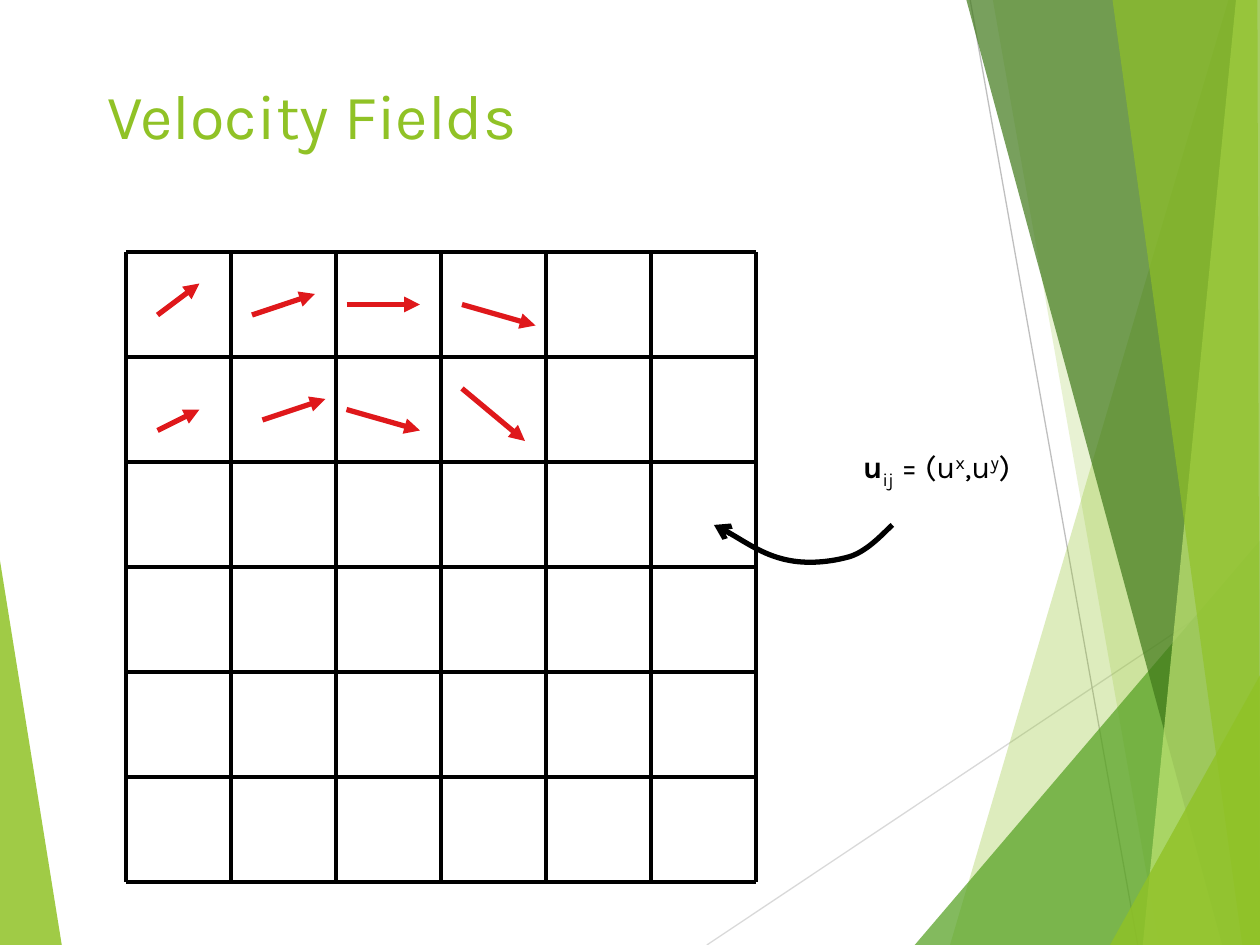
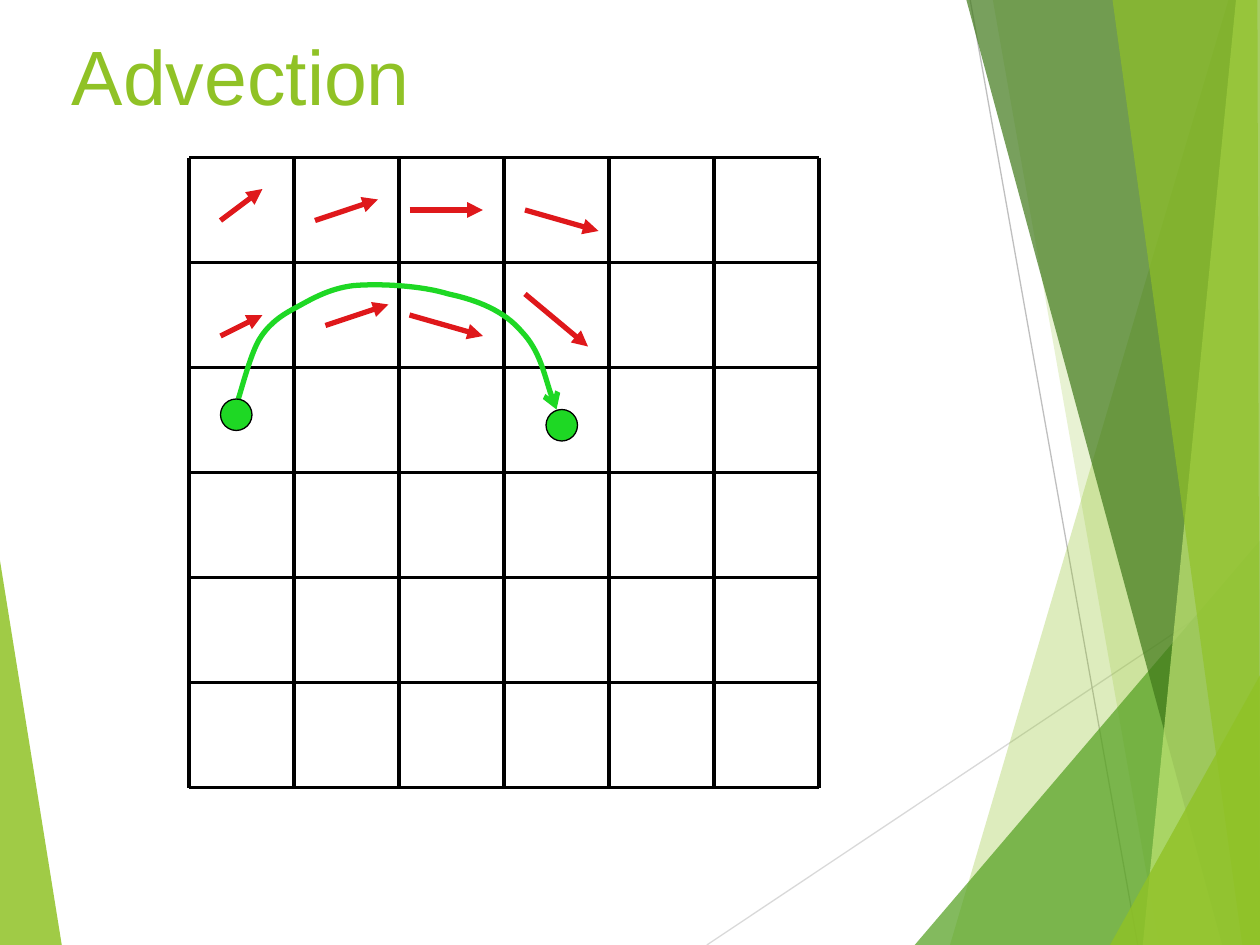
from dataclasses import dataclass

from pptx import Presentation
from pptx.dml.color import RGBColor
from pptx.enum.shapes import MSO_CONNECTOR, MSO_SHAPE
from pptx.enum.text import MSO_ANCHOR, MSO_AUTO_SIZE, PP_ALIGN
from pptx.oxml.ns import qn
from pptx.oxml.xmlchemy import OxmlElement
from pptx.util import Inches, Pt

STRAIGHT = MSO_CONNECTOR.STRAIGHT
OVAL = MSO_SHAPE.OVAL
TOP = MSO_ANCHOR.TOP
LEFT = PP_ALIGN.LEFT
NO_FIT = MSO_AUTO_SIZE.NONE
TITLE_ONLY = 5
WIDTH, HEIGHT = 10, 7.5


@dataclass(frozen=True)
class Theme:
    lime: str = "90C226"
    leaf: str = "54A021"
    forest: str = "3F7819"
    pale: str = "C0E474"
    light_rule: str = "D9D9D9"
    dark_rule: str = "BFBFBF"
    ink: str = "000000"
    velocity: str = "DF181B"
    particle: str = "1ED824"
    font: str = "Karla"
    plain_font: str = "Arial"
    title_size: int = 36
    large_title_size: int = 44
    label_size: int = 18
    hairline: float = 0.75
    grid_line: float = 2.25
    arrow_line: float = 3


THEME = Theme()

# Backdrop polygons: corners in inches, colour, opacity in percent
SHARDS = [
    ([(0, 4.45), (0.49, 7.5), (0, 7.5)], THEME.lime, 85),
    ([(9.75, 0), (7.54, 7.5), (10, 7.5), (10, 0)], THEME.lime, 30),
    ([(7.88, 0), (9.2, 7.5), (10, 7.5), (10, 0)], THEME.lime, 20),
    ([(7.26, 7.5), (10, 4.29), (10, 7.5)], THEME.leaf, 72),
    ([(7.67, 0), (9.7, 7.5), (10, 7.5), (10, 0)], THEME.forest, 70),
    ([(9.81, 0), (9.07, 7.5), (10, 7.5), (10, 0)], THEME.pale, 70),
    ([(8.83, 0), (9.86, 7.5), (10, 7.5), (9.98, 0)], THEME.lime, 65),
    ([(8.81, 7.5), (10, 5.36), (10, 7.5)], THEME.lime, 80),
]
RULES = [
    ((5.61, 7.5), (10, 4.57), THEME.light_rule),
    ((7.7, 0), (9.03, 7.5), THEME.dark_rule),
]

# Everything below is in columns and rows of the grid
CELLS = 6
VELOCITIES = [
    ((0.3, 0.6), (0.7, 0.3)), ((1.2, 0.6), (1.8, 0.4)),
    ((2.1, 0.5), (2.8, 0.5)), ((3.2, 0.5), (3.9, 0.7)),
    ((0.3, 1.7), (0.7, 1.5)), ((1.3, 1.6), (1.9, 1.4)),
    ((2.1, 1.5), (2.8, 1.7)), ((3.2, 1.3), (3.8, 1.8)),
]
LABEL_POINTER = [
    (7.3, 2.6), (7.24, 2.65), (7.08, 2.84), (6.9, 2.9),
    (6.73, 2.95), (6.49, 2.98), (6.28, 2.93),
    (6.06, 2.88), (5.74, 2.66), (5.6, 2.6),
]
PARTICLE_TRACK = [
    (0.47, 2.3), (0.5, 2.21), (0.58, 1.9), (0.66, 1.75),
    (0.74, 1.61), (0.85, 1.52), (1, 1.44),
    (1.15, 1.36), (1.32, 1.25), (1.57, 1.22),
    (1.82, 1.2), (2.21, 1.22), (2.47, 1.3),
    (2.75, 1.36), (3, 1.46), (3.17, 1.66),
    (3.34, 1.84), (3.43, 2.24), (3.5, 2.4),
]
PARTICLES = [(0.3, 2.3), (3.4, 2.4)]
PARTICLE_SIZE = 0.3


@dataclass(frozen=True)
class Grid:
    left: float
    top: float
    cell: float = 5 / CELLS

    def place(self, point):
        column, row = point
        return self.left + column * self.cell, self.top + row * self.cell


def color(code):
    return RGBColor.from_string(code)


def style_line(shape, code, width, head=None):
    shape.line.color.rgb = color(code)
    shape.line.width = Pt(width)
    if head:
        tail = OxmlElement("a:tailEnd")
        tail.set("type", head)
        shape.element.spPr.find(qn("a:ln")).append(tail)


def add_line(page, start, end, code, width, head=None):
    ends = [Inches(value) for value in (*start, *end)]
    line = page.shapes.add_connector(STRAIGHT, *ends)
    style_line(line, code, width, head)
    line.element.spPr.append(OxmlElement("a:effectLst"))
    return line


def add_outline(page, points, close):
    corners = [(Inches(x), Inches(y)) for x, y in points]
    builder = page.shapes.build_freeform(*corners[0])
    builder.add_line_segments(corners[1:], close=close)
    shape = builder.convert_to_shape()
    shape.shadow.inherit = False
    return shape


def add_shard(page, points, code, opacity):
    shard = add_outline(page, points, close=True)
    shard.fill.solid()
    shard.fill.fore_color.rgb = color(code)
    shard.line.fill.background()
    alpha = OxmlElement("a:alpha")
    alpha.set("val", str(opacity * 1000))
    shard.element.spPr.find(qn("a:solidFill"))[0].append(alpha)
    return shard


def add_curve(page, points, code):
    """Draw cubic curves; after the start, every three points make one."""
    curve = add_outline(page, points, close=False)
    curve.fill.background()
    style_line(curve, code, THEME.arrow_line, "arrow")
    steps = list(curve.element.iter(qn("a:lnTo")))
    for first in range(0, len(steps), 3):
        cubic = OxmlElement("a:cubicBezTo")
        steps[first].addprevious(cubic)
        for step in steps[first:first + 3]:
            cubic.append(step[0])
            step.getparent().remove(step)


def add_dot(page, corner, size):
    dot = page.shapes.add_shape(OVAL, *map(Inches, (*corner, size, size)))
    dot.shadow.inherit = False
    dot.fill.solid()
    dot.fill.fore_color.rgb = color(THEME.particle)
    style_line(dot, THEME.ink, THEME.hairline)


def write(para, text, *, size, code, font=THEME.font, bold=False, baseline=0):
    span = para.add_run()
    span.text = text
    span.font.name = font
    span.font.size = Pt(size)
    span.font.bold = bold
    span.font.color.rgb = color(code)
    if baseline:
        span.font._element.set("baseline", str(baseline * 1000))


def set_title(page, text, box, *, size, font, indent):
    title = page.shapes.title
    title.left, title.top, title.width, title.height = map(Inches, box)
    frame = title.text_frame
    frame.auto_size = NO_FIT
    frame.word_wrap = True
    frame.vertical_anchor = TOP
    frame.margin_left, frame.margin_top = Inches(indent), Inches(0.11)
    para = frame.paragraphs[0]
    para.alignment = LEFT
    write(para, text, size=size, font=font, code=THEME.lime)


def add_label(page, box, spans):
    label = page.shapes.add_textbox(*map(Inches, box))
    label.text_frame.word_wrap = True
    para = label.text_frame.paragraphs[0]
    for text, bold, baseline in spans:
        write(para, text, size=THEME.label_size, code=THEME.ink,
              bold=bold, baseline=baseline)


def add_velocity_grid(page, grid):
    for index in range(CELLS + 1):
        for start, end in (((0, index), (CELLS, index)),
                           ((index, 0), (index, CELLS))):
            add_line(page, grid.place(start), grid.place(end),
                     THEME.ink, THEME.grid_line)
    for start, end in VELOCITIES:
        add_line(page, grid.place(start), grid.place(end),
                 THEME.velocity, THEME.arrow_line, "triangle")


def add_backdrop(page, layout):
    """Draw the shared backdrop and move it to the back of the layout."""
    wedge, *shards = SHARDS
    parts = [add_shard(page, *wedge)]
    parts += [add_line(page, start, end, code, THEME.hairline)
              for start, end, code in RULES]
    parts += [add_shard(page, *shard) for shard in shards]
    tree = layout.shapes.element
    for order, part in enumerate(parts):
        part.element.xpath(".//p:cNvPr")[0].set("id", str(100 + order))
        tree.insert(2 + order, part.element)


def build_velocity_page(page):
    set_title(page, "Velocity Fields", (0.75, 0.5, 0.85 * WIDTH, 0.98),
              size=THEME.title_size, font=THEME.font, indent=0.1)
    grid = Grid(left=0.1 * WIDTH, top=2)
    add_velocity_grid(page, grid)
    add_label(page, (6.75, 3.5, 2.92, 0.44), [
        ("u", True, 0), ("ij", False, -25), (" = (u", False, 0),
        ("x", False, 30), (",u", False, 0), ("y", False, 30),
        (")", False, 0),
    ])
    add_curve(page, [grid.place(point) for point in LABEL_POINTER], THEME.ink)


def build_advection_page(page):
    set_title(page, "Advection", (0, 0.12, 6.94, 1.04),
              size=THEME.large_title_size, font=THEME.plain_font, indent=0.57)
    grid = Grid(left=0.15 * WIDTH, top=HEIGHT / 6)
    add_velocity_grid(page, grid)
    add_curve(page, [grid.place(point) for point in PARTICLE_TRACK],
              THEME.particle)
    for corner in PARTICLES:
        add_dot(page, grid.place(corner), PARTICLE_SIZE * grid.cell)


def main():
    deck = Presentation()
    deck.slide_width, deck.slide_height = Inches(WIDTH), Inches(HEIGHT)
    layout = deck.slide_layouts[TITLE_ONLY]
    velocity_page = deck.slides.add_slide(layout)
    add_backdrop(velocity_page, layout)
    build_velocity_page(velocity_page)
    build_advection_page(deck.slides.add_slide(layout))
    deck.save("out.pptx")


if __name__ == "__main__":
    main()
